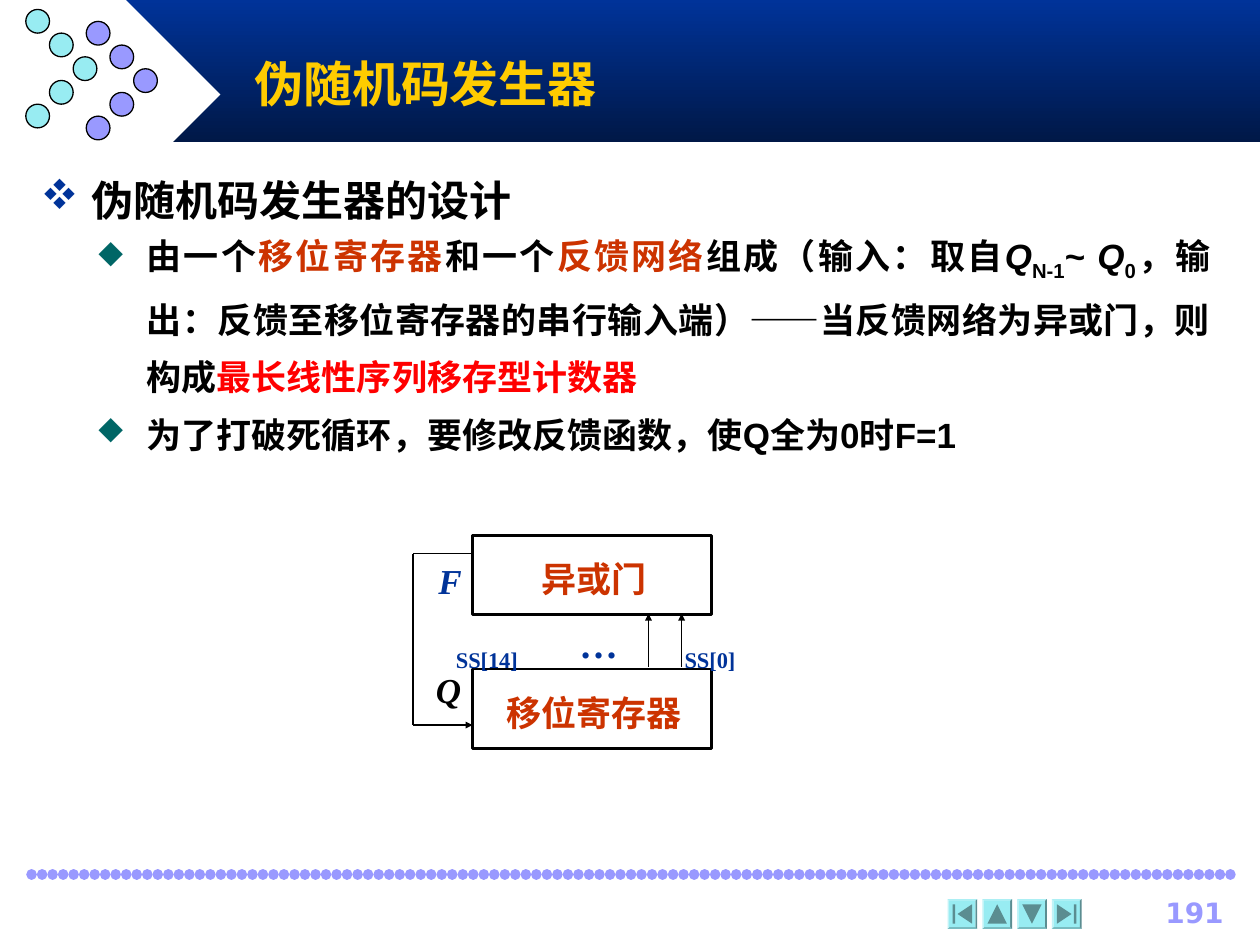
from lxml import etree
from pptx import Presentation
from pptx import util as u
from pptx.dml.color import RGBColor
from pptx.enum import shapes, text
from pptx.oxml import ns

COLORS = {
    "navy": "003399", "midnight": "001847", "gold": "FFCC00", "violet": "9999FF",
    "aqua": "98ECF2", "rust": "CC3300", "red": "FF0000", "teal": "006666",
    "black": "000000", "white": "FFFFFF",
}
KIND = shapes.MSO_SHAPE
ALIGN = text.PP_ALIGN
COLUMNS, ROWS = 100, 75


def rgb(name):
    return RGBColor.from_string(COLORS[name])


def add_xml(parent, tag, **attributes):
    return etree.SubElement(parent, ns.qn(tag), attributes)


def write(paragraph, words, size=20, font="Arial", color="black", bold=True,
          italic=False, baseline=0):
    run = paragraph.add_run()
    run.text = words
    style = run.font
    style.size, style.name = u.Pt(size), font
    style.bold, style.italic = bold, italic
    style.color.rgb = rgb(color)
    if baseline:
        run._r.get_or_add_rPr().set("baseline", str(baseline * 1000))


class SlideBuilder:
    """Places elements on a slide by grid columns and rows."""

    def __init__(self, deck):
        self.column = deck.slide_width // COLUMNS
        self.row = deck.slide_height // ROWS
        self.slide = deck.slides.add_slide(deck.slide_layouts[6])

    def place(self, *lengths):
        """Turn alternating columns and rows into slide lengths."""
        return [u.Emu(round(n * (self.row if i % 2 else self.column)))
                for i, n in enumerate(lengths)]

    def shape(self, kind, area, fill=None, line=None, width=0.75, rotation=0):
        item = self.slide.shapes.add_shape(kind, *self.place(*area))
        item.shadow.inherit = False
        item.rotation = rotation
        if fill:
            item.fill.solid()
            item.fill.fore_color.rgb = rgb(fill)
        else:
            item.fill.background()
        if line:
            item.line.color.rgb = rgb(line)
            item.line.width = u.Pt(width)
        else:
            item.line.fill.background()
        return item

    def line(self, start, end, color="black", width=0.75, arrow=False, dotted=False):
        item = self.slide.shapes.add_connector(
            shapes.MSO_CONNECTOR.STRAIGHT, *self.place(*start, *end))
        item.line.color.rgb = rgb(color)
        item.line.width = u.Pt(width)
        stroke = item.line._get_or_add_ln()
        if dotted:
            stroke.set("cap", "rnd")
            add_xml(stroke, "a:prstDash", val="sysDot")
        if arrow:
            add_xml(stroke, "a:tailEnd", type="triangle", w="sm", len="sm")
        add_xml(item._element.spPr, "a:effectLst")

    def frame(self, area, anchor=text.MSO_ANCHOR.TOP, wrap=True):
        frame = self.slide.shapes.add_textbox(*self.place(*area)).text_frame
        frame.word_wrap = wrap
        frame.vertical_anchor = anchor
        return frame

    def label(self, area, words, align=ALIGN.CENTER, spacing=1.0,
              anchor=text.MSO_ANCHOR.TOP, wrap=True, tabs=(), **style):
        paragraph = self.frame(area, anchor, wrap).paragraphs[0]
        paragraph.alignment = align
        paragraph.line_spacing = spacing
        if tabs:
            stops = add_xml(paragraph._p.get_or_add_pPr(), "a:tabLst")
            for stop in tabs:
                add_xml(stops, "a:tab", pos=str(self.place(stop)[0]), algn="l")
        for part in words if isinstance(words, list) else [(words, {})]:
            write(paragraph, part[0], **{**style, **part[1]})

    def bullet(self, paragraph, parts, mark, color, level, indent, mark_size=100, size=20):
        """Add a bulleted paragraph; mark is a letter of the Wingdings font."""
        paragraph.level = level
        paragraph.alignment = ALIGN.JUSTIFY
        paragraph.line_spacing = u.Pt(33)
        layout = paragraph._p.get_or_add_pPr()
        layout.set("marL", str(self.place(indent)[0]))
        layout.set("indent", str(self.place(-4)[0]))
        layout.set("hangingPunct", "0")
        add_xml(add_xml(layout, "a:buClr"), "a:srgbClr", val=COLORS[color])
        add_xml(layout, "a:buSzPct", val=str(mark_size * 1000))
        add_xml(layout, "a:buFont", typeface="Wingdings", pitchFamily="2", charset="2")
        add_xml(layout, "a:buChar", char=mark)
        for words, style in parts:
            write(paragraph, words, size=size, **style)


def draw_banner(page):
    band = page.shape(KIND.RECTANGLE, (10, 0, 90, 11.3), "navy")
    band.fill.gradient()
    band.fill.gradient_angle = 270
    for stop, color, position in zip(band.fill.gradient_stops, ("navy", "midnight"), (0, 1)):
        stop.color.rgb = rgb(color)
        stop.position = position
    page.shape(KIND.DIAMOND, (2.5, 0, 15, 15), "white")
    step = 1.88
    for left, top, color in ((6.85, 1.7, "violet"), (2.05, 0.75, "aqua")):
        for i in range(5):
            page.shape(KIND.OVAL, (left + step * min(i, 4 - i), top + step * i, 1.88, 1.88),
                       color, "black")
    page.label((19.2, 3.25, 75, 6.7), "伪随机码发生器", ALIGN.LEFT,
               anchor=text.MSO_ANCHOR.MIDDLE, size=28, color="gold")


def draw_footer(page):
    dot = 0.84
    for start in (2.5, 2.5 + dot):  # the second row of dots fills the gaps of the first
        page.line((start, 69.4), (98.3, 69.4), "violet", 6, dotted=True)
    buttons = ((KIND.ACTION_BUTTON_BEGINNING, 0), (KIND.ACTION_BUTTON_BACK_OR_PREVIOUS, 90),
               (KIND.ACTION_BUTTON_FORWARD_OR_NEXT, 90), (KIND.ACTION_BUTTON_END, 0))
    side, edge = 2.36, 0.15
    face = side - 2 * edge
    for i, (kind, rotation) in enumerate(buttons):
        left, top = 75.2 + 2.76 * i, 71.36
        rim = page.shape(KIND.BEVEL, (left, top, side, side), "aqua")
        rim.adjustments[0] = edge / side
        page.shape(kind, (left + edge, top + edge, face, face), "aqua", rotation=rotation)
    page.label((88.6, 70.6, 9.5, 3.3), "191", ALIGN.RIGHT,
               size=16, font="DejaVu Sans", color="violet")


def draw_body(page):
    rust, italic, low = {"color": "rust"}, {"italic": True}, {"baseline": -25}
    design = [
        ("由一个", {}), ("移位寄存器", rust), ("和一个", {}), ("反馈网络", rust),
        ("组成（输入：取自", {}), ("Q", italic), ("N-1", low), ("~ ", {}),
        ("Q", italic), ("0", low),
        ("，输出：反馈至移位寄存器的串行输入端）——当反馈网络为异或门，则构成", {}),
        ("最长线性序列移存型计数器", {"color": "red"}),
    ]
    loop = [("为了打破死循环，要修改反馈函数，使Q全为0时F=1", {})]
    body = page.frame((2.25, 12.75, 94.8, 28.3))
    page.bullet(body.paragraphs[0], [("伪随机码发生器的设计", {})],
                "v", "navy", 0, 4, size=24)
    for parts in (design, loop):
        page.bullet(body.add_paragraph(), parts, "u", "teal", 1, 8.4, mark_size=85)


def draw_circuit(page):
    roman = "Times New Roman"
    for top, name, font in ((53.1, "移位寄存器", roman), (42.5, "异或门", "Arial")):
        page.shape(KIND.RECTANGLE, (37.5, top, 19, 6.3), line="black", width=1.5)
        page.label((38.85, top + 1.15, 16.6, 6.3), name, spacing=1.04, font=font, color="rust")

    page.line((37.5, 43.95), (32.77, 43.95))
    page.line((32.77, 43.95), (32.77, 57.5))
    page.line((32.77, 57.55), (37.5, 57.55), arrow=True)
    for tap in (51.47, 54.1):
        page.line((tap, 52.9), (tap, 48.7), arrow=True)

    page.label((33.8, 44.1, 7.1, 6.3), "F", ALIGN.JUSTIFY, 0.96,
               font=roman, color="navy", italic=True)
    low = {"baseline": -25}
    page.label((35.2, 48.75, 26.8, 4.3), [("SS[14]\t", low), ("…\t", {}), ("SS[0]", low)],
               ALIGN.LEFT, 0.96, tabs=(9.8, 18.15), size=22, font=roman, color="navy")
    page.label((33.6, 52.95, 4, 4), "Q", spacing=0.9, wrap=False, font=roman, italic=True)


def main():
    deck = Presentation()
    deck.slide_width, deck.slide_height = u.Inches(10), u.Inches(7.5)
    page = SlideBuilder(deck)
    for draw in (draw_banner, draw_footer, draw_body, draw_circuit):
        draw(page)
    deck.save("out.pptx")


if __name__ == "__main__":
    main()
